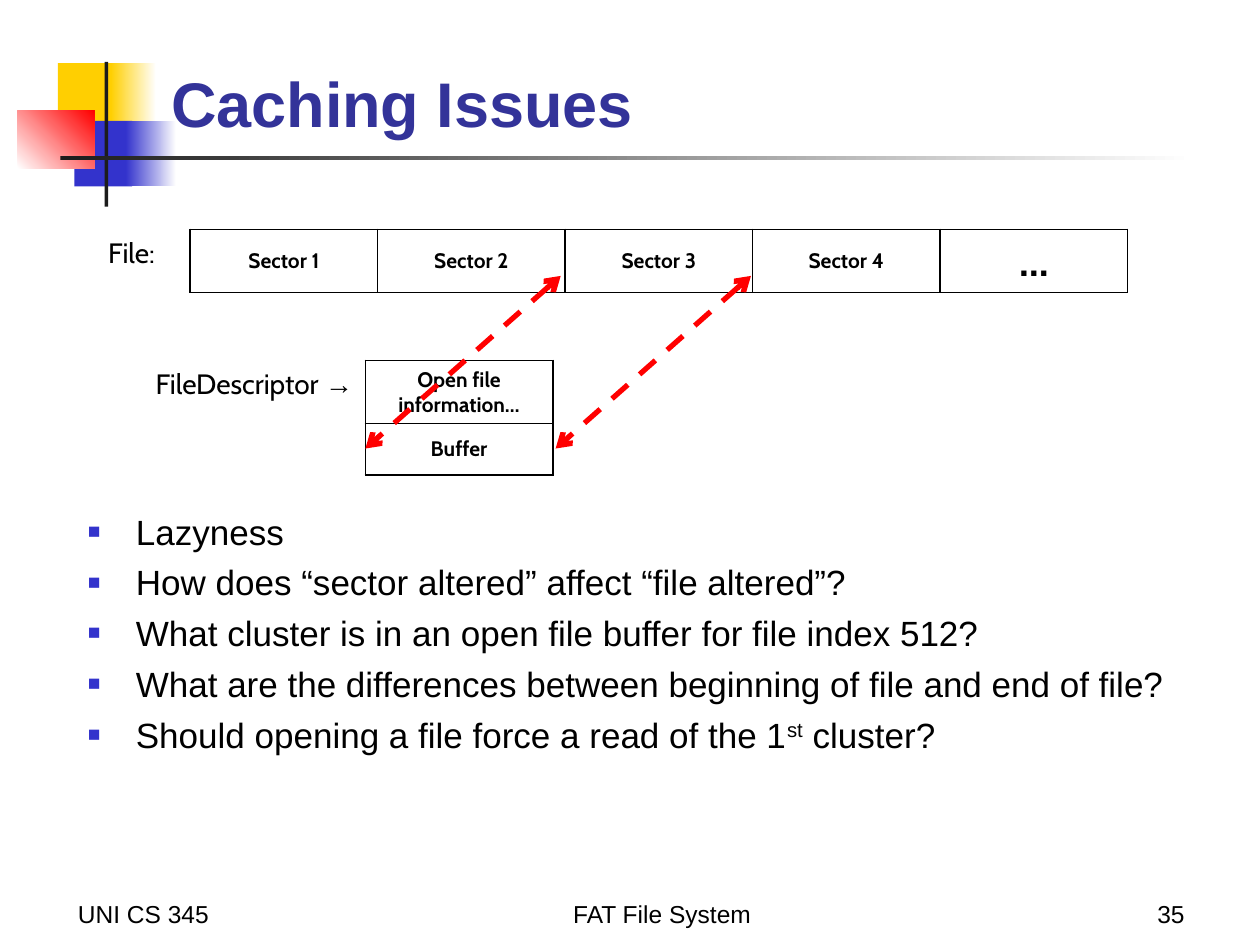
from dataclasses import dataclass
from pptx import Presentation
from pptx.dml.color import RGBColor as Rgb
from pptx.enum.dml import MSO_LINE as Dash
from pptx.enum.shapes import MSO_CONNECTOR as Conn, MSO_SHAPE as Shape
from pptx.enum.text import MSO_ANCHOR as Anchor, PP_ALIGN as Align
from pptx.oxml.ns import qn
from pptx.util import Inches, Pt
from lxml.etree import SubElement as Sub

CELL = Inches(0.1)


@dataclass(frozen=True)
class Theme:
    ink: str = "000000"
    dark: str = "1C1C1C"
    paper: str = "FFFFFF"
    gold: str = "FFCF01"
    blue: str = "3333CC"
    navy: str = "333399"
    red: str = "FF0000"
    sans: str = "Arial"
    label: str = "Cabin"
    head: int = 36
    dots: int = 24
    body: int = 20
    name: int = 16
    foot: int = 14
    small: int = 12


@dataclass(frozen=True)
class Box:
    x: float
    y: float
    w: float
    h: float

    def sub(self, x, y, w, h):
        return Box(self.x + x, self.y + y, w, h)

    def emu(self):
        return [round(v * CELL) for v in (self.x, self.y, self.w, self.h)]


T = Theme()


def style(para, size, font=T.sans, color=T.ink, bold=False, align=Align.LEFT):
    para.alignment = align
    para.font.size = Pt(size)
    para.font.name = font
    para.font.bold = bold
    para.font.color.rgb = Rgb.from_string(color)


def text(slide, box, words, size, anchor=Anchor.TOP, **look):
    frame = slide.shapes.add_textbox(*box.emu()).text_frame
    frame.word_wrap = True
    frame.vertical_anchor = anchor
    para = frame.paragraphs[0]
    para.text = words
    style(para, size, **look)
    return frame


def block(slide, box, start, end=None, angle=0):
    shape = slide.shapes.add_shape(Shape.RECTANGLE, *box.emu())
    shape.shadow.inherit = False
    shape.line.fill.background()
    if end is None:
        shape.fill.solid()
        shape.fill.fore_color.rgb = Rgb.from_string(start)
        return
    shape.fill.gradient()
    shape.fill.gradient_angle = angle
    for stop, color in zip(shape.fill.gradient_stops, (start, end)):
        stop.color.rgb = Rgb.from_string(color)


def emblem(slide, box):
    for x, y, color, solid, fade, lap in (
        (3.2, 0.1, T.gold, 4.8, 3.6, 4.2),
        (4.5, 4.7, T.blue, 4.6, 4, 4.1),
    ):
        block(slide, box.sub(x, y, solid, 5.2), color)
        block(slide, box.sub(x + lap, y, fade, 5.2), color, T.paper)
    block(slide, box.sub(0, 3.9, 6.1, 4.6), T.paper, T.red, 45)
    block(slide, box.sub(6.9, 0, 0.3, box.h), T.dark)
    block(slide, box.sub(3.4, 7.5, 90, 0.3), T.dark, T.paper)


def border(cell):
    props = cell._tc.get_or_add_tcPr()
    for i, side in enumerate(("lnL", "lnR", "lnT", "lnB")):
        line = props.makeelement(qn("a:" + side), {"w": str(Pt(1))})
        fill = Sub(line, qn("a:solidFill"))
        Sub(fill, qn("a:srgbClr"), val=T.ink)
        props.insert(i, line)


def grid(slide, box, rows, heights):
    table = slide.shapes.add_table(len(rows), len(rows[0]), *box.emu()).table
    for col in table.columns:
        col.width = round(box.w * CELL / len(rows[0]))
    for row, high, words in zip(table.rows, heights, rows):
        row.height = round(high * CELL)
        for cell, word in zip(row.cells, words):
            cell.text = word
            cell.vertical_anchor = Anchor.MIDDLE
            cell.fill.solid()
            cell.fill.fore_color.rgb = Rgb.from_string(T.paper)
            size = T.dots if word == "…" else T.small
            style(cell.text_frame.paragraphs[0], size, T.label, bold=True, align=Align.CENTER)
            border(cell)


def arrow(slide, box):
    x, y, w, h = box.emu()
    link = slide.shapes.add_connector(Conn.STRAIGHT, x + w, y, x, y + h)
    link.line.width = Pt(3)
    link.line.color.rgb = Rgb.from_string(T.red)
    link.line.dash_style = Dash.DASH
    line = link.line._get_or_add_ln()
    for end in ("headEnd", "tailEnd"):
        Sub(line, qn("a:" + end), type="arrow")
    Sub(link._element.spPr, qn("a:effectLst"))


def diagram(slide, box):
    wide = 14.88
    sectors = [f"Sector {n}" for n in range(1, 5)] + ["…"]
    grid(slide, box.sub(7.5, 0, 5 * wide, 4.1), [sectors], [4.1])
    text(slide, box.sub(0, 0, 7.5, 3.7), "File:", T.name, font=T.label)
    parts = [["Open file information…"], ["Buffer"]]
    grid(slide, box.sub(21.4, 10.4, wide, 9.1), parts, [5, 4.1])
    frame = text(slide, box.sub(0.8, 10.4, 20.6, 3.7), "FileDescriptor ", T.name,
                 font=T.label, align=Align.RIGHT)
    run = frame.paragraphs[0].add_run()
    run.text = "→"
    run.font.name = T.sans
    for x in (21.4, 36.5):
        arrow(slide, box.sub(x, 3.7, 15.5, 13.7))


def bullet(para):
    props = para._p.get_or_add_pPr()
    props.set("marL", str(Inches(0.38)))
    props.set("indent", str(-Inches(0.38)))
    Sub(Sub(props, qn("a:buClr")), qn("a:srgbClr"), val=T.blue)
    Sub(props, qn("a:buSzPct"), val="60000")
    Sub(props, qn("a:buFont"), typeface=T.sans)
    Sub(props, qn("a:buChar"), char="■")


def points(slide, box, lines):
    frame = slide.shapes.add_textbox(*box.emu()).text_frame
    frame.word_wrap = True
    for i, line in enumerate(lines):
        para = frame.add_paragraph() if i else frame.paragraphs[0]
        for j, part in enumerate(line.split("^")):
            run = para.add_run()
            run.text = part
            if j % 2:
                run.font._element.set("baseline", "30000")
        para.space_before = Pt(5)
        bullet(para)
        style(para, T.body)


def footer(slide, box):
    for x, w, words, align in (
        (0, 20.8, "UNI CS 345", Align.LEFT),
        (31.5, 31.7, "FAT File System", Align.CENTER),
        (69, 20.8, "35", Align.RIGHT),
    ):
        text(slide, box.sub(x, 0, w, box.h), words, T.foot, Anchor.BOTTOM, align=align)


def main():
    deck = Presentation()
    deck.slide_width, deck.slide_height = 100 * CELL, 75 * CELL
    slide = deck.slides.add_slide(deck.slide_layouts[6])
    emblem(slide, Box(1.4, 4.9, 93.4, 11.5))
    text(slide, Box(12.6, 2.1, 85.2, 9.5), "Caching Issues", T.head, Anchor.BOTTOM,
         color=T.navy, bold=True)
    diagram(slide, Box(7.6, 18.2, 81.9, 19.5))
    points(slide, Box(6, 40, 89.3, 21.5), [
        "Lazyness",
        "How does “sector altered” affect “file altered”?",
        "What cluster is in an open file buffer for file index 512?",
        "What are the differences between beginning of file and end of file?",
        "Should opening a file force a read of the 1^st^ cluster?",
    ])
    footer(slide, Box(5.2, 69.2, 89.8, 5))
    deck.save("out.pptx")


if __name__ == "__main__":
    main()
